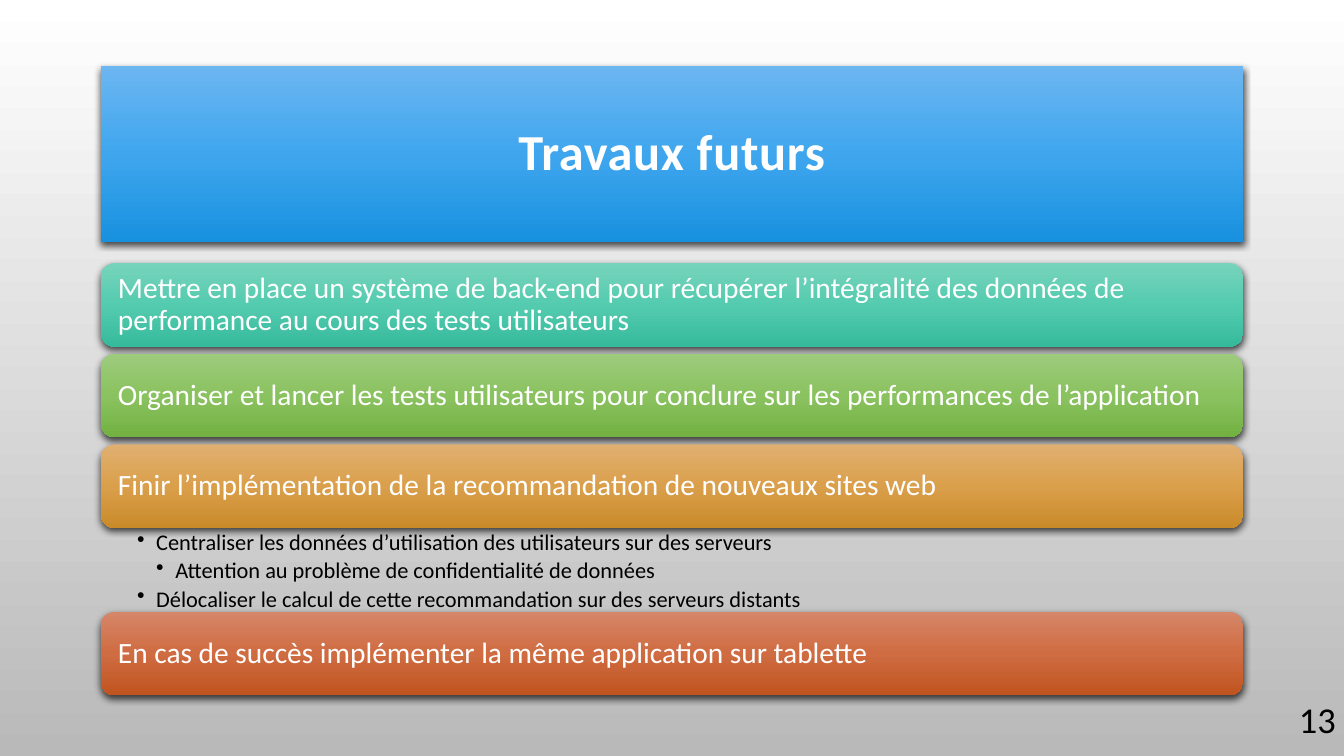
"""Build the slide "Travaux futurs" with its banded list of next steps."""
from copy import deepcopy
from dataclasses import dataclass

from pptx import Presentation
from pptx import util as u
from pptx.dml.color import RGBColor
from pptx.enum import shapes, text
from pptx.oxml import parse_xml
from pptx.oxml.ns import nsdecls

ALIGN = text.PP_ALIGN
ANCHOR = text.MSO_ANCHOR


@dataclass(frozen=True)
class Theme:
    """Hold the colours and type sizes of the slide."""
    font: str = "Calibri"
    backdrop: tuple = ("FFFFFF", "B9B9B9")
    blue: tuple = ("6CB6F1", "3FA6EE", "1891DF")
    teal: tuple = ("77D4BC", "54CBAF", "36BA9C")
    green: tuple = ("9ECC7E", "8AC25F", "73B142")
    amber: tuple = ("E0B071", "DA9F4B", "C98A29")
    rust: tuple = ("D68669", "CF6C42", "C0541F")
    light: str = "FFFFFF"
    heading: str = "FEFEFE"
    dark: str = "000000"
    title_pt: int = 36
    band_pt: int = 21
    detail_pt: int = 16
    number_pt: int = 26


def px(n):
    """Turn px, at 100 to the inch, into EMU."""
    return u.Emu(n * 9144)


def write(tf, content, *, font, size, color, bold=False, align=ALIGN.LEFT,
          anchor=ANCHOR.MIDDLE, insets=(10, 5, 10, 5), line=0.9, after=0,
          spacing=0, indent=0, hang=0):
    """Add one formatted paragraph to a text frame."""
    tf.word_wrap = True
    tf.auto_size = text.MSO_AUTO_SIZE.NONE
    tf.vertical_anchor = anchor
    tf.margin_left, tf.margin_top, tf.margin_right, tf.margin_bottom = map(px, insets)
    p = tf.add_paragraph() if tf.text else tf.paragraphs[0]
    p.alignment, p.line_spacing, p.space_after = align, line, u.Pt(after)
    if hang:
        pPr = p._p.get_or_add_pPr()
        pPr.set("marL", str(px(indent)))
        pPr.set("indent", str(-px(hang)))
        pPr.append(parse_xml(f'<a:buChar {nsdecls("a")} char="•"/>'))
    r = p.add_run()
    r.text = content
    r.font.name, r.font.size, r.font.bold = font, u.Pt(size), bold
    r.font.color.rgb = RGBColor.from_string(color)
    if spacing:
        r._r.get_or_add_rPr().set("spc", str(spacing))


class Deck:
    """Hold the style and the current slide."""

    def __init__(self, theme):
        """Start a presentation with one title-only slide."""
        self.theme = theme
        self.prs = Presentation()
        self.prs.slide_width, self.prs.slide_height = px(1333), px(750)
        self.s = self.prs.slides.add_slide(self.prs.slide_layouts[5])

    def gradient(self, fill, element, colors):
        """Fill downwards with evenly spaced colours."""
        fill.gradient()
        fill.gradient_angle = 270
        stops = element.xpath(".//a:gsLst")[0]
        for _ in colors[2:]:
            stops.append(deepcopy(stops[0]))
        for i, (stop, color) in enumerate(zip(fill.gradient_stops, colors)):
            stop.color.rgb = RGBColor.from_string(color)
            stop.position = i / (len(colors) - 1)

    def background(self, colors):
        """Paint the slide background."""
        self.gradient(self.s.background.fill, self.s.element, colors)

    def panel(self, sp, colors):
        """Give a shape its gradient, no outline and a soft shadow."""
        self.gradient(sp.fill, sp.element, colors)
        sp.line.fill.background()
        sp.shadow.inherit = False
        sp.element.spPr.xpath("./a:effectLst")[0].append(parse_xml(
            f'<a:outerShdw {nsdecls("a")} blurRad="{u.Pt(5)}" dist="{u.Pt(2)}" '
            'dir="5400000" algn="ctr" rotWithShape="0"><a:srgbClr val="000000">'
            '<a:alpha val="69000"/></a:srgbClr></a:outerShdw>'))

    def title(self, content, x, y, w, h):
        """Place and format the title placeholder."""
        t, sp = self.theme, self.s.shapes.title
        sp.left, sp.top, sp.width, sp.height = map(px, (x, y, w, h))
        self.panel(sp, t.blue)
        write(sp.text_frame, content, font=t.font, size=t.title_pt, color=t.heading,
              bold=True, align=ALIGN.CENTER, spacing=50)

    def band(self, content, colors, x, y, w, h):
        """Add a rounded band with its sentence."""
        t = self.theme
        sp = self.s.shapes.add_shape(shapes.MSO_SHAPE.ROUNDED_RECTANGLE,
                                     *map(px, (x, y, w, h)))
        self.panel(sp, colors)
        write(sp.text_frame, content, font=t.font, size=t.band_pt, color=t.light,
              insets=(13, 13, 13, 13))

    def bullets(self, items, x, y, w, h):
        """Add a list of (level, sentence) pairs."""
        t = self.theme
        tf = self.s.shapes.add_textbox(*map(px, (x, y, w, h))).text_frame
        for level, content in items:
            write(tf, content, font=t.font, size=t.detail_pt, color=t.dark,
                  anchor=ANCHOR.TOP, insets=(36, 3, 16, 3), after=3,
                  indent=19 * level, hang=19)

    def number(self, content, x, y, w, h):
        """Add the page number."""
        t = self.theme
        tf = self.s.shapes.add_textbox(*map(px, (x, y, w, h))).text_frame
        write(tf, content, font=t.font, size=t.number_pt, color=t.dark,
              align=ALIGN.RIGHT, insets=(10, 5, 7, 5), line=1.0)


def main():
    """Draw the slide and save it."""
    theme = Theme()
    deck = Deck(theme)
    left, width, height, gap = 100, 1133, 83, 7
    top = 261
    steps = [
        ("Mettre en place un système de back-end pour récupérer l’intégralité des "
         "données de performance au cours des tests utilisateurs", theme.teal, []),
        ("Organiser et lancer les tests utilisateurs pour conclure sur les "
         "performances de l’application", theme.green, []),
        ("Finir l’implémentation de la recommandation de nouveaux sites web",
         theme.amber,
         [(1, "Centraliser les données d’utilisation des utilisateurs sur des serveurs"),
          (2, "Attention au problème de confidentialité de données"),
          (1, "Délocaliser le calcul de cette recommandation sur des serveurs distants")]),
        ("En cas de succès implémenter la même application sur tablette",
         theme.rust, []),
    ]
    deck.background(theme.backdrop)
    deck.title("Travaux futurs", left, 65, width, 175)
    for content, colors, details in steps:
        deck.band(content, colors, left, top, width, height)
        top += height
        if details:
            deck.bullets(details, left, top, width, height)
            top += height
        else:
            top += gap
    deck.number("13", 1252, 693, 80, 40)
    deck.prs.save("out.pptx")


if __name__ == "__main__":
    main()
